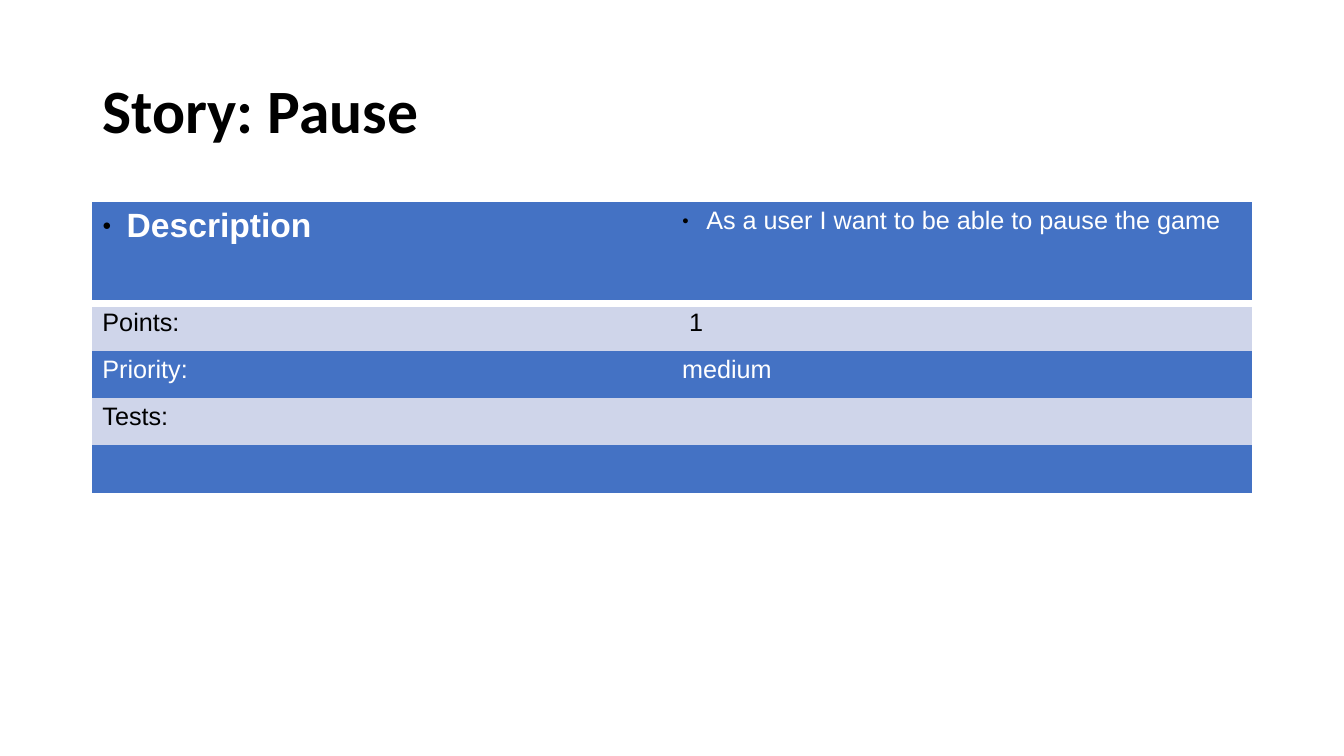
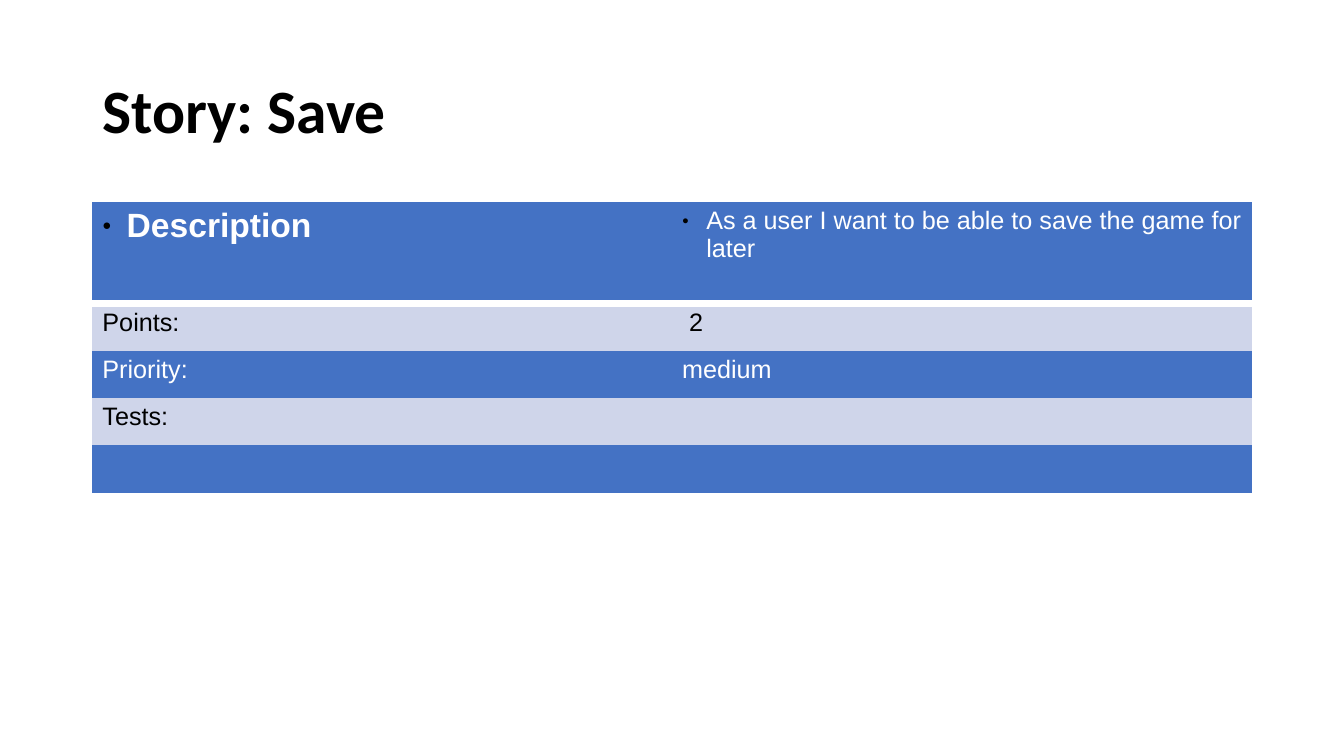
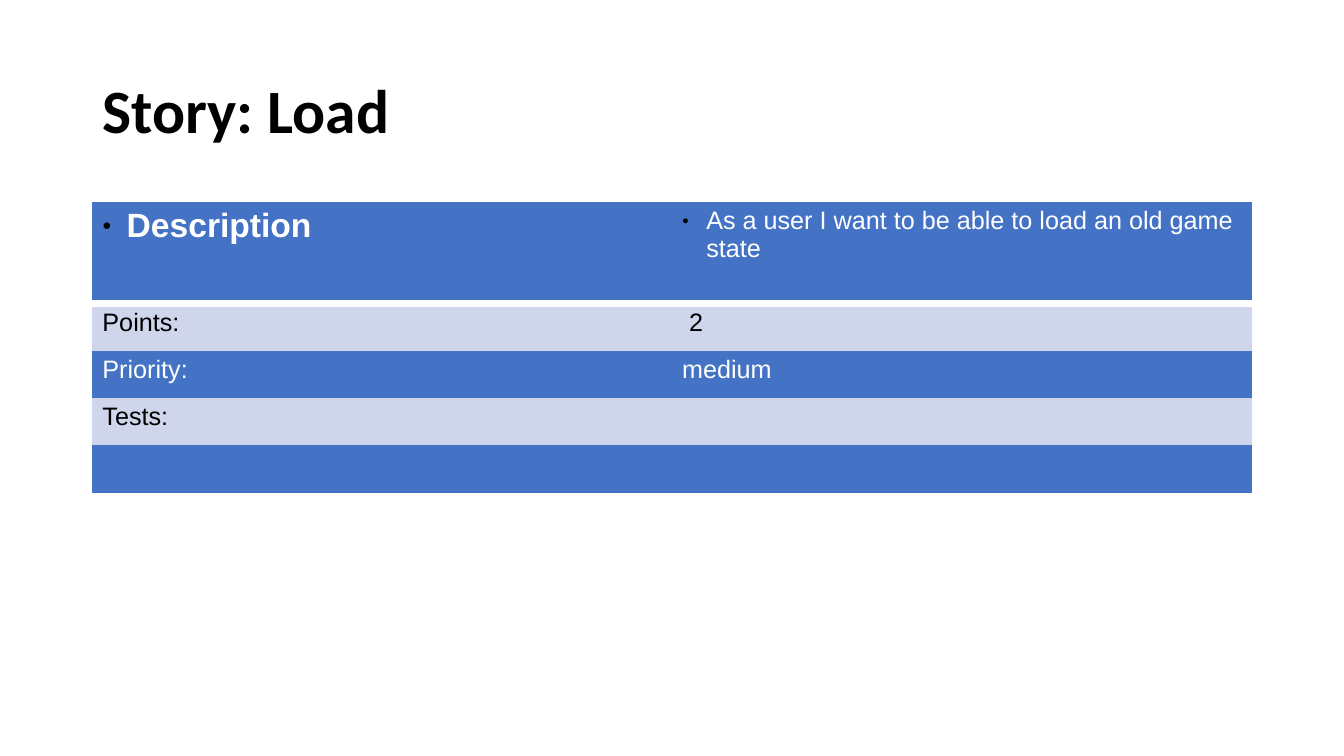
from lxml.etree import SubElement
from pptx import Presentation
from pptx.dml.color import RGBColor
from pptx.enum.text import MSO_ANCHOR, PP_ALIGN
from pptx.oxml import parse_xml
from pptx.oxml.ns import nsdecls, qn
from pptx.util import Pt

COLORS = {"text": "000000", "light_text": "FFFFFF", "blue": "4472C4", "pale": "CFD5EA"}
LEFT, WIDTH = 66, 828
TABLE_TOP, HEADER_HEIGHT, ROW_HEIGHT = 144, 72.72, 33.84
BULLET_INDENT = 17.28
NO_GRID_STYLE = "{2D5ABB26-0587-4C30-8999-92F81FD0307C}"

STORIES = [
    ("Pause", "As a user I want to be able to pause the game", 1),
    ("Save", "As a user I want to be able to save the game for later", 2),
    ("Load", "As a user I want to be able to load an old game state", 2),
]


def color(name):
    return RGBColor.from_string(COLORS[name])


def set_font(paragraph, name, size, color_name, bold=False):
    font = paragraph.font
    font.name, font.size, font.bold = name, Pt(size), bold
    font.color.rgb = color(color_name)


def place_title(layout):
    title = layout.placeholders[0]
    title.left, title.top = Pt(LEFT), Pt(28.8)
    title.width, title.height = Pt(WIDTH), Pt(104.4)


def add_title(slide, text):
    title = slide.shapes.title
    title.text_frame.text = text
    title.text_frame.vertical_anchor = MSO_ANCHOR.MIDDLE
    paragraph = title.text_frame.paragraphs[0]
    paragraph.alignment = PP_ALIGN.LEFT
    paragraph.line_spacing = 0.9
    set_font(paragraph, "Calibri", 44, "text", True)


def add_bullet(paragraph):
    properties = paragraph._p.get_or_add_pPr()
    properties.set("marL", str(Pt(BULLET_INDENT)))
    properties.set("indent", str(-Pt(BULLET_INDENT)))
    bullet_color = SubElement(properties, qn("a:buClr"))
    SubElement(bullet_color, qn("a:srgbClr"), val=COLORS["text"])
    SubElement(properties, qn("a:buSzPct"), val="45000")
    SubElement(properties, qn("a:buFont"), typeface="Arial")
    SubElement(properties, qn("a:buChar"), char="●")


def add_bottom_border(cell, width):
    border = parse_xml(
        f'<a:lnB {nsdecls("a")} w="{Pt(width)}"><a:solidFill>'
        f'<a:srgbClr val="{COLORS["light_text"]}"/></a:solidFill></a:lnB>'
    )
    cell._tc.get_or_add_tcPr().insert(0, border)


def fill_cell(cell, text, is_header, is_dark, is_heading):
    cell.fill.solid()
    cell.fill.fore_color.rgb = color("blue" if is_dark else "pale")
    cell.text = text
    paragraph = cell.text_frame.paragraphs[0]
    if is_header:
        add_bullet(paragraph)
        add_bottom_border(cell, 6)
    text_color = "light_text" if is_dark else "text"
    set_font(paragraph, "Arial", 24 if is_heading else 18, text_color, is_heading)


def add_story_table(slide, rows):
    height = HEADER_HEIGHT + ROW_HEIGHT * (len(rows) - 1)
    frame = slide.shapes.add_table(
        len(rows), 2, Pt(LEFT), Pt(TABLE_TOP), Pt(WIDTH), Pt(height)
    )
    frame.element.xpath(".//a:tableStyleId")[0].text = NO_GRID_STYLE
    table = frame.table
    table.first_row = table.horz_banding = False
    for row_index, texts in enumerate(rows):
        is_header = row_index == 0
        table.rows[row_index].height = Pt(HEADER_HEIGHT if is_header else ROW_HEIGHT)
        for column_index, text in enumerate(texts):
            fill_cell(
                table.cell(row_index, column_index),
                text,
                is_header,
                is_dark=row_index % 2 == 0,
                is_heading=is_header and column_index == 0,
            )


def add_story(presentation, layout, name, description, points):
    slide = presentation.slides.add_slide(layout)
    add_title(slide, f"Story: {name}")
    add_story_table(slide, [
        ("Description", description),
        ("Points:", f" {points}"),
        ("Priority:", "medium"),
        ("Tests:", ""),
        ("", ""),
    ])


def main():
    presentation = Presentation()
    presentation.slide_width, presentation.slide_height = Pt(960), Pt(540)
    layout = presentation.slide_layouts[5]
    place_title(layout)
    for story in STORIES:
        add_story(presentation, layout, *story)
    presentation.save("out.pptx")


if __name__ == "__main__":
    main()
